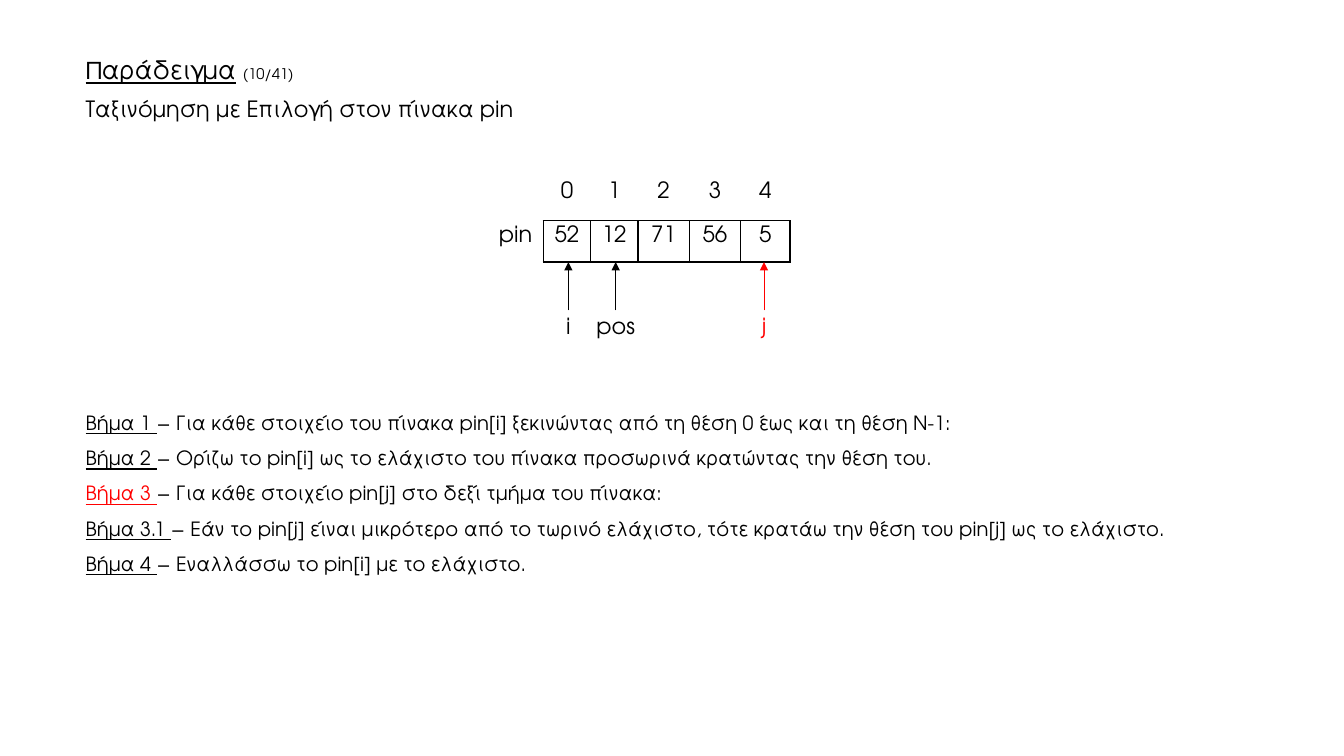
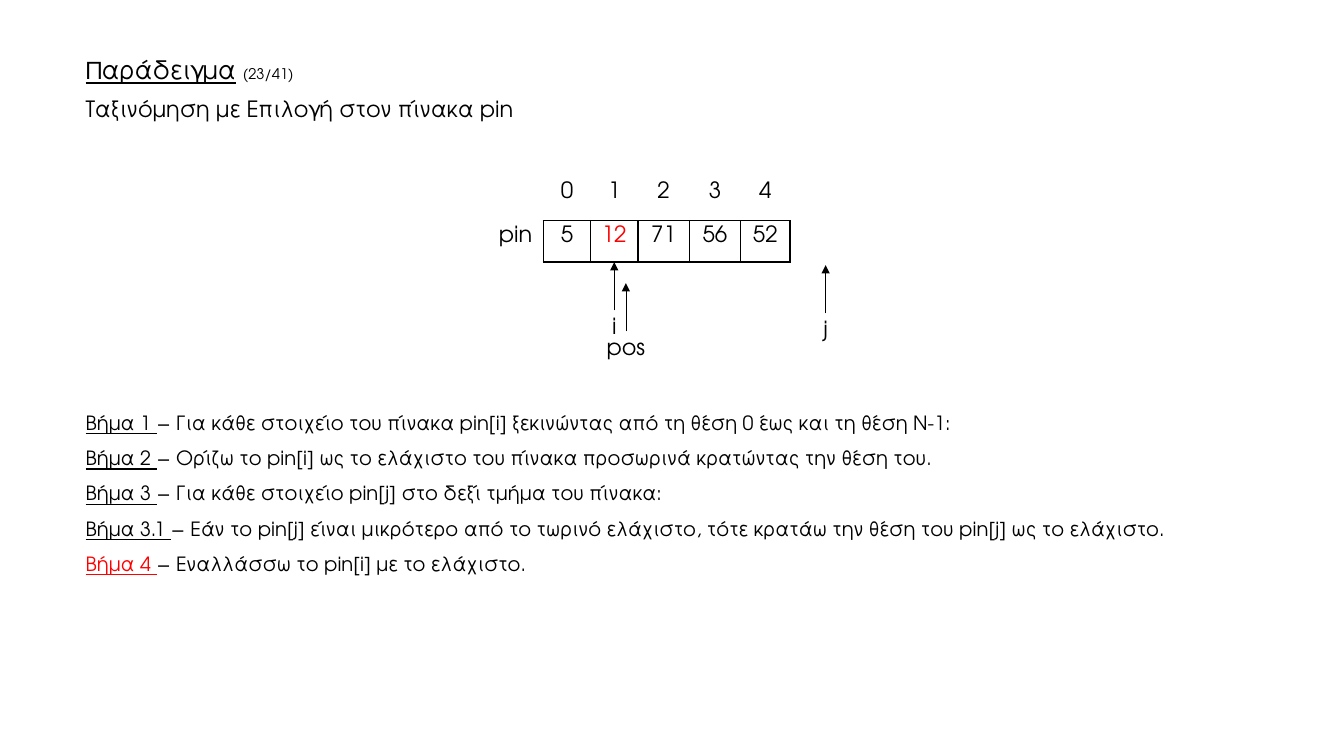
"""Selection sort example: two steps of the walk-through."""
from collections import namedtuple
from dataclasses import dataclass

from lxml.etree import SubElement
from pptx import Presentation
from pptx.dml.color import RGBColor
from pptx.enum.shapes import MSO_CONNECTOR
from pptx.enum.text import MSO_AUTO_SIZE, PP_ALIGN
from pptx.oxml import parse_xml
from pptx.oxml.ns import nsdecls, qn
from pptx.util import Pt


@dataclass(frozen=True)
class Theme:
    """Colours, font and type sizes shared by the slides."""
    ink: RGBColor = RGBColor(0x00, 0x00, 0x00)
    active: RGBColor = RGBColor(0xFF, 0x00, 0x00)
    font: str = "TeX Gyre Adventor"
    title: float = 18
    body: float = 16
    step: float = 14
    counter: float = 10.5
    border: float = 1
    arrow: float = 0.5


THEME = Theme()
Box = namedtuple("Box", "left top width height")
Pointer = namedtuple("Pointer", "name cell shift drop active", defaults=(0, 0, False))
Frame = namedtuple("Frame", "counter values active_cell pointers active_step")

SLIDE_WIDTH, SLIDE_HEIGHT = 960, 540
HEADING = Box(54, 37.5, 777, 55.5)
ARRAY = Box(348.5, 126.7, 215.9, 60.5)
STEPS = Box(54, 281.5, 830, 131)
COLUMN_WIDTHS = (39.6, 33.8, 33.8, 36.7, 36.7, 35.3)
ROW_HEIGHTS = (31, 29.5)
ARROW_LENGTH = 34.5
LABEL_WIDTH, LABEL_HEIGHT = 70, 26
NO_GRID_STYLE = "{2D5ABB26-0587-4C30-8999-92F81FD0307C}"

STEP_TEXTS = (
    ("Βήμα 1 ", "− Για κάθε στοιχείο του πίνακα pin[i] ξεκινώντας από τη θέση 0 έως και τη θέση Ν-1:"),
    ("Βήμα 2 ", "− Ορίζω το pin[i] ως το ελάχιστο του πίνακα προσωρινά κρατώντας την θέση του."),
    ("Βήμα 3 ", "− Για κάθε στοιχείο pin[j] στο δεξί τμήμα του πίνακα:"),
    ("Βήμα 3.1 ", "− Εάν το pin[j] είναι μικρότερο από το τωρινό ελάχιστο, τότε κρατάω την θέση του "
                  "pin[j] ως το ελάχιστο."),
    ("Βήμα 4 ", "− Εναλλάσσω το pin[i] με το ελάχιστο."),
)

FRAMES = (
    Frame("(10/41)", (52, 12, 71, 56, 5), None,
          (Pointer("i", 0, 1), Pointer("pos", 1, 1), Pointer("j", 4, -1, 0, True)), 2),
    Frame("(23/41)", (5, 12, 71, 56, 52), 1,
          (Pointer("i", 1), Pointer("pos", 1, 8.3, 15), Pointer("j", 4, 43, 2.2)), 4),
)


def ink(active):
    """Return the text colour for an active or a plain item."""
    return THEME.active if active else THEME.ink


def add_run(paragraph, text, size, active=False, underline=False):
    """Append one styled run."""
    run = paragraph.add_run()
    run.text = text
    run.font.name = THEME.font
    run.font.size = Pt(size)
    run.font.color.rgb = ink(active)
    run.font.underline = underline


def add_text_frame(slide, box):
    """Add a wrapping text box and return its frame."""
    frame = slide.shapes.add_textbox(*map(Pt, box)).text_frame
    frame.word_wrap = True
    return frame


def add_heading(slide, box, counter):
    """Place the title with its counter and the subtitle."""
    frame = add_text_frame(slide, box)
    title = frame.paragraphs[0]
    add_run(title, "Παράδειγμα", THEME.title, underline=True)
    add_run(title, " ", THEME.title)
    add_run(title, counter, THEME.counter)
    subtitle = frame.add_paragraph()
    subtitle.space_before = Pt(10)
    add_run(subtitle, "Ταξινόμηση με Επιλογή στον πίνακα pin", THEME.body)
    for paragraph in frame.paragraphs:
        paragraph.line_spacing = 0.9


def set_borders(cell, sides):
    """Draw the named sides of a cell, given in the order L, R, T, B."""
    properties = cell._tc.get_or_add_tcPr()
    for index, side in enumerate(sides):
        properties.insert(index, parse_xml(
            f'<a:ln{side} {nsdecls("a")} w="{Pt(THEME.border)}"><a:solidFill>'
            f'<a:srgbClr val="{THEME.ink}"/></a:solidFill></a:ln{side}>'))


def add_array(slide, box, values, active_cell):
    """Place the array table with its row of indexes."""
    rows = (("", *range(len(values))), ("pin", *values))
    table = slide.shapes.add_table(len(rows), len(rows[0]), *map(Pt, box)).table
    table.first_row = table.horz_banding = False
    table._tbl.tblPr.find(qn("a:tableStyleId")).text = NO_GRID_STYLE
    for column, width in zip(table.columns, COLUMN_WIDTHS):
        column.width = Pt(width)
    for row, height in zip(table.rows, ROW_HEIGHTS):
        row.height = Pt(height)
    for row_index, row in enumerate(rows):
        for column_index, value in enumerate(row):
            cell = table.cell(row_index, column_index)
            cell.fill.background()
            cell.margin_bottom = 0
            paragraph = cell.text_frame.paragraphs[0]
            paragraph.alignment = PP_ALIGN.CENTER
            is_value = row_index == 1 and column_index > 0
            if value != "":
                active = is_value and column_index - 1 == active_cell
                add_run(paragraph, str(value), THEME.body, active)
            if is_value:
                set_borders(cell, "LRTB")
            elif column_index > 0:
                set_borders(cell, "B")
            elif row_index == 1:
                set_borders(cell, "R")


def add_pointer(slide, box, pointer):
    """Place a labelled arrow below a cell of the array box."""
    column = pointer.cell + 1
    centre = box.left + sum(COLUMN_WIDTHS[:column]) + COLUMN_WIDTHS[column] / 2 + pointer.shift
    tip = box.top + box.height + pointer.drop
    base = tip + ARROW_LENGTH
    frame = add_text_frame(slide, Box(centre - LABEL_WIDTH / 2, base, LABEL_WIDTH, LABEL_HEIGHT))
    paragraph = frame.paragraphs[0]
    paragraph.alignment = PP_ALIGN.CENTER
    paragraph.line_spacing = 0.9
    add_run(paragraph, pointer.name, THEME.body, pointer.active)
    arrow = slide.shapes.add_connector(
        MSO_CONNECTOR.STRAIGHT, Pt(centre), Pt(base), Pt(centre), Pt(tip))
    arrow.line.color.rgb = ink(pointer.active)
    arrow.line.width = Pt(THEME.arrow)
    SubElement(arrow.line._get_or_add_ln(), qn("a:tailEnd"), type="triangle")
    SubElement(arrow._element.spPr, qn("a:effectLst"))


def add_steps(slide, box, active_step):
    """Place the steps of the algorithm, one of them highlighted."""
    frame = add_text_frame(slide, box)
    frame.auto_size = MSO_AUTO_SIZE.SHAPE_TO_FIT_TEXT
    for index, (name, text) in enumerate(STEP_TEXTS):
        paragraph = frame.add_paragraph() if index else frame.paragraphs[0]
        paragraph.line_spacing = 1.5
        add_run(paragraph, name, THEME.step, index == active_step, underline=True)
        add_run(paragraph, text, THEME.step)


def add_example_slide(presentation, frame):
    """Build one slide of the walk-through."""
    slide = presentation.slides.add_slide(presentation.slide_layouts[6])
    add_steps(slide, STEPS, frame.active_step)
    add_heading(slide, HEADING, frame.counter)
    add_array(slide, ARRAY, frame.values, frame.active_cell)
    for pointer in frame.pointers:
        add_pointer(slide, ARRAY, pointer)


def main():
    """Build and save the presentation."""
    presentation = Presentation()
    presentation.slide_width = Pt(SLIDE_WIDTH)
    presentation.slide_height = Pt(SLIDE_HEIGHT)
    for frame in FRAMES:
        add_example_slide(presentation, frame)
    presentation.save("out.pptx")


if __name__ == "__main__":
    main()
